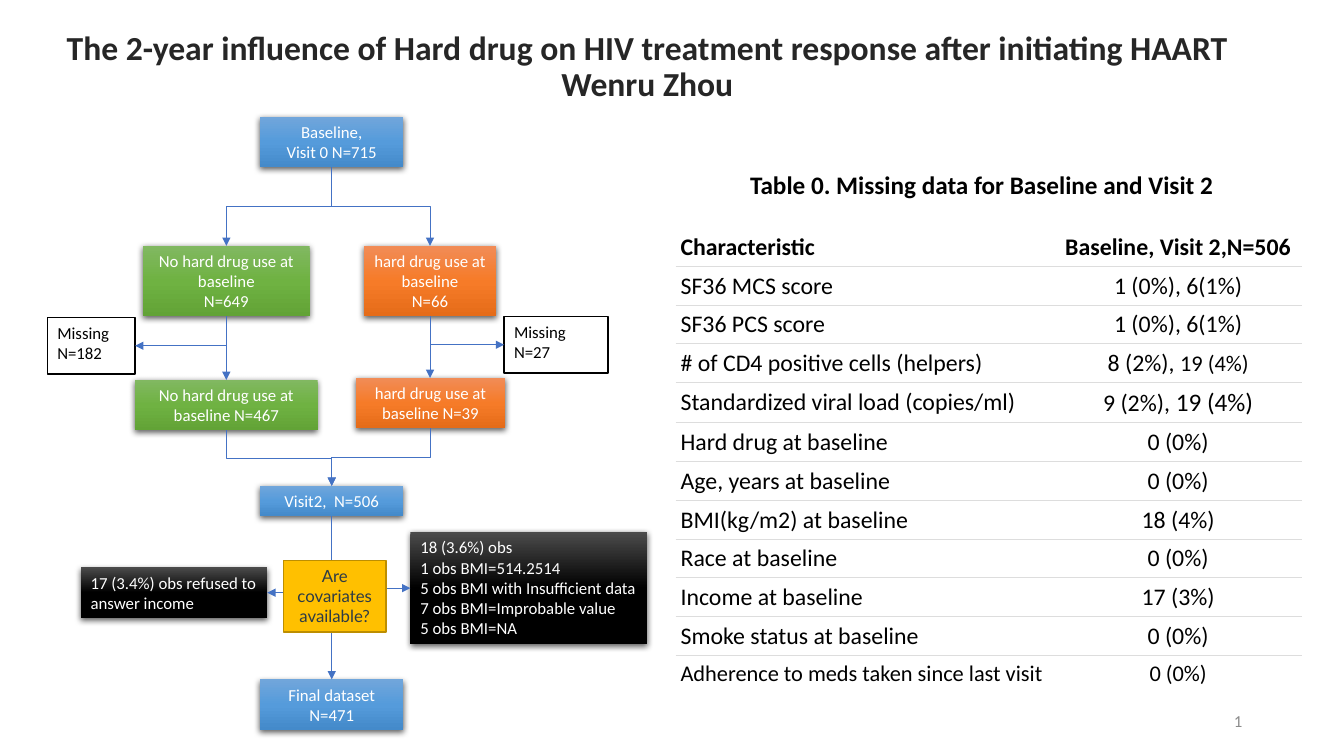
import pptx
import pptx.util
import pptx.dml.color
import pptx.oxml
import pptx.oxml.ns
import pptx.enum.shapes
import pptx.enum.text

# Content: flow boxes as name: (left, top, width, height, look, lines)
BOXES = {
    "base": (2.58, 1.16, 1.42, 0.5, "blue", ["Baseline,", "Visit 0 N=715"]),
    "no": (1.42, 2.44, 1.65, 0.7, "green", ["No hard drug use at baseline", "N=649"]),
    "hard": (3.61, 2.44, 1.31, 0.7, "orange", ["hard drug use at baseline", "N=66"]),
    "visit": (2.58, 4.82, 1.42, 0.3, "blue", ["Visit2,  N=506"]),
    "no2": (1.34, 3.77, 1.81, 0.5, "green", ["No hard drug use at baseline N=467"]),
    "hard2": (3.53, 3.75, 1.48, 0.5, "orange", ["hard drug use at baseline N=39"]),
    "lost": (0.47, 3.15, 0.87, 0.56, "white", ["Missing N=182"]),
    "lost2": (5, 3.14, 1.03, 0.56, "white", ["Missing N=27"]),
    "bmi": (4.07, 5.28, 2.35, 1.11, "black", [
        "18 (3.6%) obs", "1 obs BMI=514.2514", "5 obs BMI with Insufficient data",
        "7 obs BMI=Improbable value", "5 obs BMI=NA"]),
    "income": (0.8, 5.63, 1.85, 0.5, "black", ["17 (3.4%) obs refused to answer income"]),
    "final": (2.58, 6.74, 1.42, 0.5, "blue", ["Final dataset N=471"]),
    "check": (2.81, 5.56, 1.02, 0.71, "gold", ["Are covariates", "available?"]),
}
# Arrows end on the target's top ("down") or its near side ("side")
LINKS = [("base", "no", "down"), ("base", "hard", "down"),
         ("no", "no2", "down"), ("hard", "hard2", "down"),
         ("no", "lost", "side"), ("hard", "lost2", "side"),
         ("no2", "visit", "down"), ("hard2", "visit", "down"),
         ("visit", "income", "side"), ("visit", "bmi", "side"),
         ("visit", "final", "down")]
# Table rows: label, label size, runs of (text, size)
ROWS = [
    ("Characteristic", 17, [("Baseline, Visit 2,N=506", 17)]),
    ("SF36 MCS score", 17, [("1 (0%), 6(1%)", 17)]),
    ("SF36 PCS score", 17, [("1 (0%), 6(1%)", 17)]),
    ("# of CD4 positive cells (helpers)", 17, [("8 (2%), ", 17), ("19 (4%)", 16)]),
    ("Standardized viral load (copies/ml)", 17, [("9 (2%),", 17), (" 19 (4%)", 18)]),
    ("Hard drug at baseline", 17, [("0 (0%)", 17)]),
    ("Age, years at baseline", 17, [("0 (0%)", 17)]),
    ("BMI(kg/m2) at baseline", 17, [("18 (4%)", 17)]),
    ("Race at baseline", 17, [("0 (0%)", 17)]),
    ("Income at baseline", 17, [("17 (3%)", 17)]),
    ("Smoke status at baseline", 17, [("0 (0%)", 17)]),
    ("Adherence to meds taken since last visit", 16, [("0 (0%)", 16)]),
]
# Looks: gradient stops, or (fill, line, text colour, font)
GRADS = {"blue": ("71A6DB", "559BDB", "448ACA"),
         "green": ("81B861", "6FB242", "62A336"),
         "orange": ("F18C57", "F67B28", "E56C19"),
         "black": ("4B4B4B", "000000", "000000")}
FLATS = {"white": ("FFFFFF", "000000", "000000", "Calibri"),
         "gold": ("FFC000", "BD8E00", "2D3B45", "Lato")}

inch, Pt = pptx.util.Inches, pptx.util.Pt
LEFT, MID, RIGHT = (pptx.enum.text.PP_ALIGN.LEFT, pptx.enum.text.PP_ALIGN.CENTER,
                    pptx.enum.text.PP_ALIGN.RIGHT)
ANCHOR = pptx.enum.text.MSO_ANCHOR
KIND = pptx.enum.shapes.MSO_CONNECTOR
qn = pptx.oxml.ns.qn

deck = pptx.Presentation()
deck.slide_width, deck.slide_height = inch(13.33), inch(7.5)
slide = deck.slides.add_slide(deck.slide_layouts[6])
parts = slide.shapes


def rgb(code):
    return pptx.dml.color.RGBColor.from_string(code)


def xml(text):
    space = 'xmlns:a="http://schemas.openxmlformats.org/drawingml/2006/main"'
    return pptx.oxml.parse_xml(text.replace(">", f" {space}>", 1))


def style(font, size, code="000000", bold=False, face="Calibri"):
    font.size, font.bold, font.name = Pt(size), bold, face
    font.color.rgb = rgb(code)


def label(spot, text, size, code, bold, align, wrap=True):
    frame = parts.add_textbox(*map(inch, spot)).text_frame
    frame.word_wrap, frame.vertical_anchor = wrap, ANCHOR.MIDDLE
    frame.text = text
    para = frame.paragraphs[0]
    para.alignment = align
    style(para.font, size, code, bold)
    return para


def box(left, top, wide, high, look, lines):
    shape = parts.add_shape(pptx.enum.shapes.MSO_SHAPE.RECTANGLE,
                            *map(inch, (left, top, wide, high)))
    shape.shadow.inherit = False
    if look in GRADS:
        ink, face = "FFFFFF", "Calibri"
        shape.line.fill.background()
        stops = "".join(f'<a:gs pos="{50000 * i}"><a:srgbClr val="{c}"/></a:gs>'
                        for i, c in enumerate(GRADS[look]))
        props = shape.element.spPr
        props.find(qn("a:prstGeom")).addnext(xml(
            f'<a:gradFill rotWithShape="1"><a:gsLst>{stops}</a:gsLst>'
            '<a:lin ang="5400000" scaled="0"/></a:gradFill>'))
        props.find(qn("a:effectLst")).append(xml(
            '<a:outerShdw blurRad="57150" dist="19050" dir="5400000" algn="ctr" '
            'rotWithShape="0"><a:srgbClr val="000000"><a:alpha val="63000"/>'
            '</a:srgbClr></a:outerShdw>'))
    else:
        fill, edge, ink, face = FLATS[look]
        shape.fill.solid()
        shape.fill.fore_color.rgb = rgb(fill)
        shape.line.color.rgb, shape.line.width = rgb(edge), Pt(1)
    frame = shape.text_frame
    frame.word_wrap, frame.vertical_anchor = True, ANCHOR.TOP
    frame.text = "\n".join(lines)
    for para in frame.paragraphs:
        para.alignment = LEFT if look in ("white", "black") else MID
        style(para.font, 12, ink, face=face)


def link(start, end, mode):
    left, top, wide, high = BOXES[start][:4]
    x1, y1 = left + wide / 2, top + high
    left, top, wide, high = BOXES[end][:4]
    if mode == "down":
        x2, y2 = left + wide / 2, top
    else:
        x2, y2 = (left if left > x1 else left + wide), top + high / 2
    run, drop = x2 - x1, y2 - y1
    if abs(run) < 0.03:
        line = parts.add_connector(KIND.STRAIGHT, *map(inch, (x1, y1, x1, y2)))
    else:
        # A quarter turn makes the elbow leave downwards
        midx, midy, half, tall = (x1 + x2) / 2, (y1 + y2) / 2, drop / 2, abs(run) / 2
        line = parts.add_connector(KIND.ELBOW, *map(
            inch, (midx - half, midy - tall, midx + half, midy + tall)))
        frame = line.element.spPr.find(qn("a:xfrm"))
        frame.set("rot", "5400000" if run < 0 else "16200000")
        if run > 0:
            frame.set("flipH", "1")
        if mode == "side":
            line.element.spPr.find(qn("a:prstGeom")).set("prst", "bentConnector2")
    line.line.color.rgb, line.line.width = rgb("4472C4"), Pt(0.5)
    props = line.element.spPr
    props.find(qn("a:ln")).append(xml('<a:tailEnd type="triangle"></a:tailEnd>'))
    props.append(xml('<a:effectLst></a:effectLst>'))


# Title, page number and flow chart
label((9.42, 6.95, 3, 0.4), "1", 12, "8C8C8C", False, RIGHT)
title = label((-0.5, 0.25, 13.84, 0.84),
              "The 2-year influence of Hard drug on HIV treatment response "
              "after initiating HAART\vWenru Zhou", 24, "262626", True, MID)
title.line_spacing = 0.9
for name, item in BOXES.items():
    if name != "check":
        box(*item)
for item in LINKS:
    link(*item)
box(*BOXES["check"])

# Table of missing data
label((7.34, 1.63, 4.92, 0.4), "Table 0. Missing data for Baseline and Visit 2",
      18, "000000", True, LEFT, False)
grid = parts.add_table(len(ROWS), 2, *map(inch, (6.7, 2.26, 6.21, 4.61))).table
grid.first_row = grid.horz_banding = False
grid._tbl.tblPr.find(qn("a:tableStyleId")).text = "{2D5ABB26-0587-4C30-8999-92F81FD0307C}"
grid.columns[0].width, grid.columns[1].width = inch(3.76), inch(2.45)
for i, (head, size, runs) in enumerate(ROWS):
    grid.rows[i].height = inch(0.4 if i == len(ROWS) - 1 else 0.33)
    for j, texts in enumerate(([(head, size)], runs)):
        cell = grid.cell(i, j)
        cell.margin_left = cell.margin_right = inch(0.05)
        cell.margin_top = cell.margin_bottom = inch(0.05)
        cell.vertical_anchor = ANCHOR.TOP if i else ANCHOR.BOTTOM
        cell.fill.background()
        para = cell.text_frame.paragraphs[0]
        para.alignment = MID if j else LEFT
        for text, points in texts:
            run = para.add_run()
            run.text = text
            style(run.font, points, bold=i == 0)
        sides = ["lnB"] * (i < len(ROWS) - 1) + ["lnT"] * (i > 0)
        for side in sides:
            cell._tc.tcPr.insert(0, xml(
                f'<a:{side} w="9525"><a:solidFill><a:srgbClr val="DDDDDD"/>'
                f'</a:solidFill></a:{side}>'))

deck.save("out.pptx")
